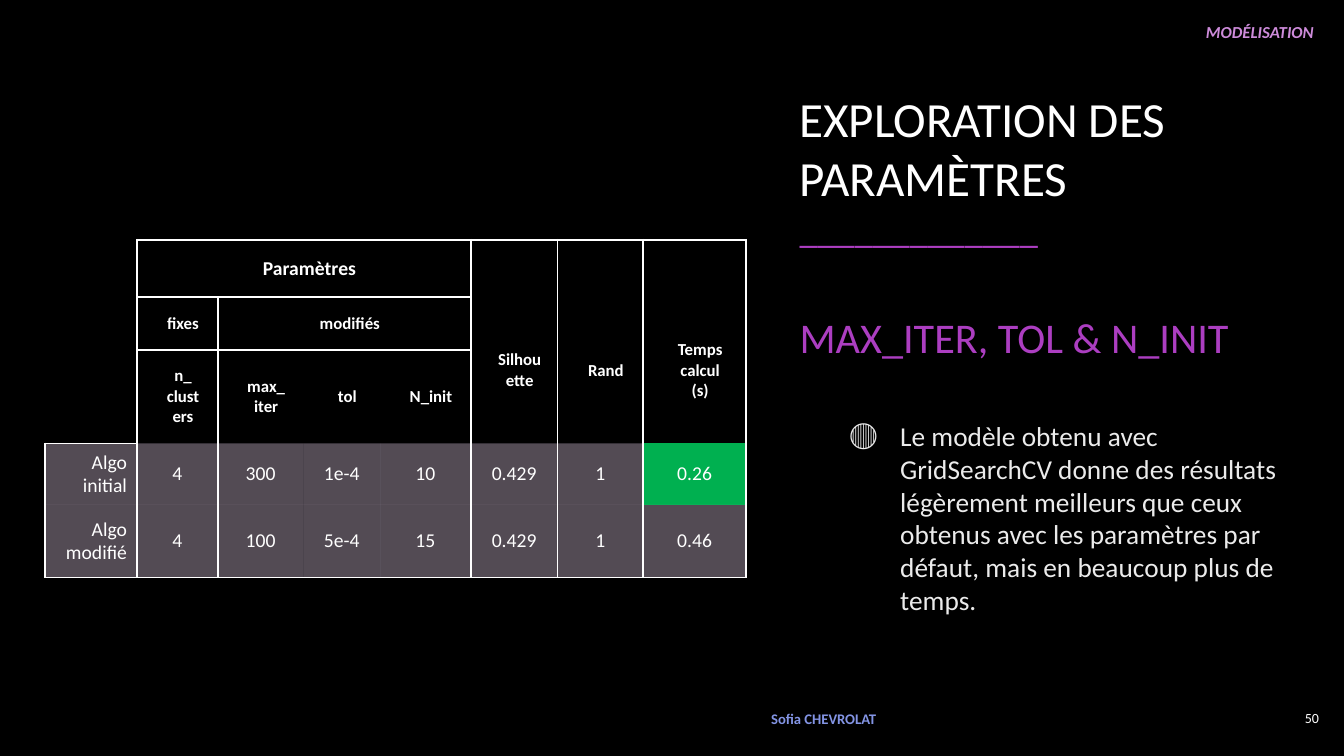
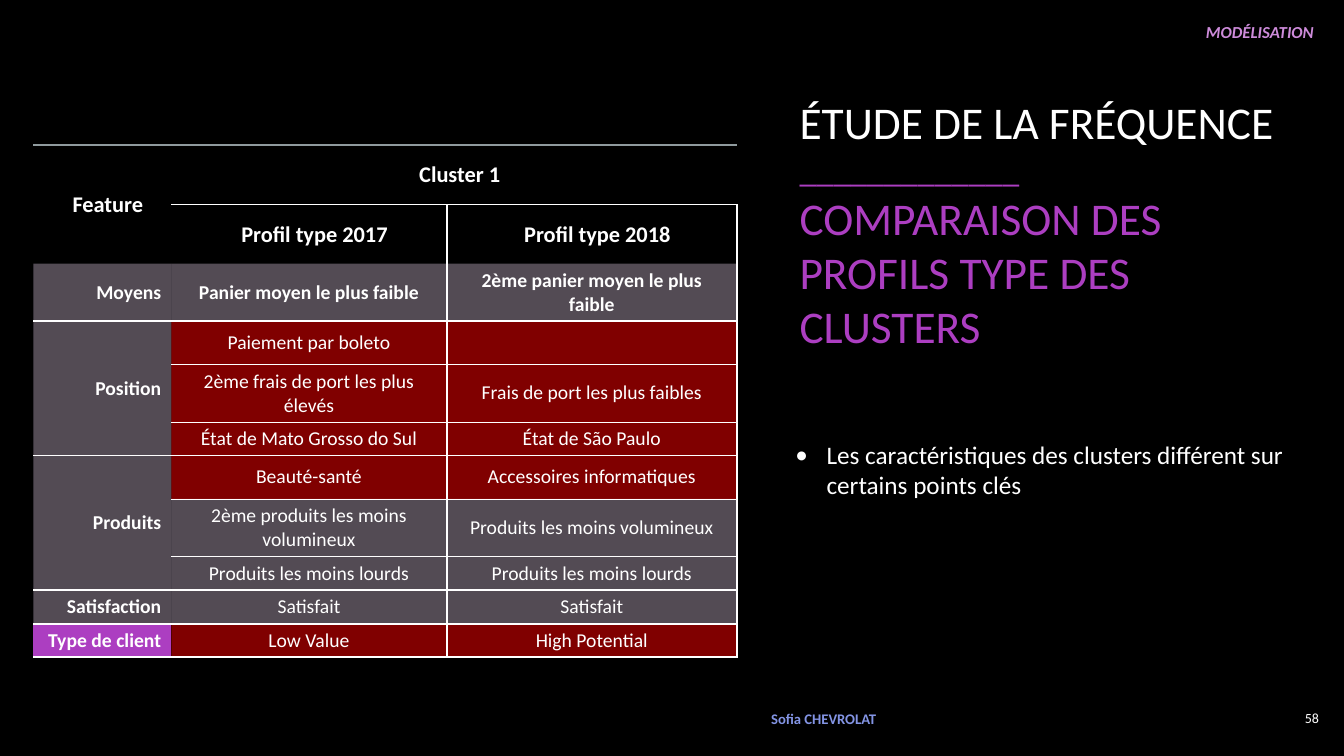
import pptx
import pptx.util
import pptx.dml.color
import pptx.enum.text
import pptx.oxml.ns
from lxml import etree

Inches = pptx.util.Inches
Pt = pptx.util.Pt
RGBColor = pptx.dml.color.RGBColor
ALIGN = pptx.enum.text.PP_ALIGN
ANCHOR = pptx.enum.text.MSO_ANCHOR
qn = pptx.oxml.ns.qn

BLACK = RGBColor(0x00, 0x00, 0x00)
WHITE = RGBColor(0xFF, 0xFF, 0xFF)
SOFT_WHITE = RGBColor(0xEB, 0xEB, 0xEB)
PURPLE = RGBColor(0xAC, 0x3E, 0xC1)
LILAC = RGBColor(0xCD, 0x8B, 0xDA)
PALE_LILAC = RGBColor(0xEE, 0xD8, 0xF3)
BLUE = RGBColor(0x83, 0x94, 0xE4)
GREEN = RGBColor(0x00, 0xB0, 0x50)
RED = RGBColor(0xFF, 0x00, 0x00)
GREY = RGBColor(0x8F, 0x9A, 0x9D)

# Fills are (colour, opacity %), table lines are (points, colour, opacity %)
MUTED = (PALE_LILAC, 35)
DIFFERENT = (RED, 50)
THICK = (1.5, WHITE, 100)
THIN = (0.25, WHITE, 100)
FAINT = (1.5, GREY, 60)
FONT = "Calibri"
NO_STYLE = "{2D5ABB26-0587-4C30-8999-92F81FD0307C}"
UNDERLINE = "_____________"


def write(paragraph, text, size, colour=WHITE, align=ALIGN.LEFT, **styles):
    paragraph.alignment = align
    run = paragraph.add_run()
    run.text = text
    run.font.color.rgb = colour
    for key, value in {"name": FONT, "size": Pt(size), **styles}.items():
        setattr(run.font, key, value)


def add_text(slide, box, anchor):
    frame = slide.shapes.add_textbox(*map(Inches, box)).text_frame
    frame.word_wrap = True
    frame.vertical_anchor = anchor
    return frame.paragraphs[0]


# Content. Lines are (boundary, first, end, style): horizontal ones lie above
# the row "boundary", vertical ones to the left of the column "boundary".
pages = [
    {
        "number": "50",
        "title_box": (7.83, 0.9, 5.31, 2.67),
        "title": [("EXPLORATION DES PARAMÈTRES", 35.1, WHITE, 0),
                  (UNDERLINE, 26.3, PURPLE, 0),
                  ("MAX_ITER, TOL & N_INIT", 30.2, PURPLE, 43)],
        "bullet_box": (7.83, 3.75, 5.05, 2.77),
        "bullet": ("Le modèle obtenu avec GridSearchCV donne des résultats "
                   "légèrement meilleurs que ceux obtenus avec les paramètres "
                   "par défaut, mais en beaucoup plus de temps."),
        "bullet_style": (19.5, SOFT_WHITE, "🔴", 1, 0.5, ANCHOR.MIDDLE),
        "table_at": (0.45, 2.38),
        "columns": [0.91, 0.8, 0.85, 0.76, 0.9, 0.86, 0.85, 1.02],
        "rows": [0.57, 0.52, 0.93, 0.61, 0.72],
        "header_sizes": [14, 12, 12],
        "cells": [
            ["", "Paramètres", "", "", "", "", "", ""],
            ["", "fixes", "modifiés", "", "", "Silhouette", "Rand",
             "Temps calcul (s)"],
            ["", "n_\nclusters", "max_\niter", "tol", "N_init", "", "", ""],
            ["Algo initial", "4", "300", "1e-4", "10", "0.429", "1", "0.26"],
            ["Algo modifié", "4", "100", "5e-4", "15", "0.429", "1", "0.46"],
        ],
        "merges": [(0, 1, 0, 4), (1, 2, 1, 4),
                   (1, 5, 2, 5), (1, 6, 2, 6), (1, 7, 2, 7)],
        "fills": {(3, 7): (GREEN, 100)},
        "bold": set(),
        "horizontal": [(0, 1, 8, THICK), (1, 1, 5, THICK), (2, 1, 5, THICK),
                       (3, 0, 1, THICK), (5, 0, 8, THICK)],
        "vertical": [(0, 3, 5, THICK), (2, 1, 5, THICK)]
                    + [(column, 0, 5, THICK) for column in (1, 5, 6, 7, 8)],
    },
    {
        "number": "58",
        "title_box": (7.83, 0.69, 5.05, 3.06),
        "title": [("ÉTUDE DE LA FRÉQUENCE", 32.4, WHITE, 0),
                  (UNDERLINE, 24.3, PURPLE, 0),
                  ("COMPARAISON DES PROFILS TYPE DES CLUSTERS", 32.4, PURPLE, 0)],
        "bullet_box": (7.79, 4.31, 5.23, 1.01),
        "bullet": ("Les caractéristiques des clusters différent sur certains "
                   "points clés"),
        "bullet_style": (18, WHITE, "•", 0.31, 0.31, ANCHOR.TOP),
        "table_at": (0.33, 1.44),
        "columns": [1.37, 2.73, 2.88],
        "rows": [0.59, 0.58, 0.57, 0.43, 0.57, 0.33, 0.43, 0.57, 0.33, 0.33, 0.33],
        "header_sizes": [16, 16],
        "cells": [
            ["Feature", "Cluster 1", ""],
            ["", "Profil type 2017", "Profil type 2018"],
            ["Moyens", "Panier moyen le plus faible",
             "2ème panier moyen le plus faible"],
            ["Position", "Paiement par boleto", ""],
            ["", "2ème frais de port les plus élevés",
             "Frais de port les plus faibles"],
            ["", "État de Mato Grosso do Sul", "État de São Paulo"],
            ["Produits", "Beauté-santé", "Accessoires informatiques"],
            ["", "2ème produits les moins volumineux",
             "Produits les moins volumineux"],
            ["", "Produits les moins lourds", "Produits les moins lourds"],
            ["Satisfaction", "Satisfait", "Satisfait"],
            ["Type de client", "Low Value", "High Potential"],
        ],
        "merges": [(0, 0, 1, 0), (0, 1, 0, 2), (3, 0, 5, 0), (6, 0, 8, 0)],
        "fills": {(10, 0): (PURPLE, 100),
                  **{(row, column): DIFFERENT
                     for row in (3, 4, 5, 6, 10) for column in (1, 2)}},
        "bold": {(2, 1), (2, 2)} | {(row, 0) for row in range(2, 11)},
        "horizontal": [(0, 0, 3, FAINT)]
                      + [(row, 1, 3, THIN) for row in (1, 4, 5, 7, 8)]
                      + [(row, 0, 3, THICK) for row in (3, 6, 9, 10, 11)],
        "vertical": [(2, 1, 11, THICK), (3, 1, 11, THICK)],
    },
]

prs = pptx.Presentation()
prs.slide_width = Inches(13.33)
prs.slide_height = Inches(7.5)
background = prs.slide_master.background.fill
background.solid()
background.fore_color.rgb = BLACK

for page in pages:
    slide = prs.slides.add_slide(prs.slide_layouts[5])

    # Section label, author and page number
    write(add_text(slide, (7.67, 0.17, 5.46, 0.3), ANCHOR.TOP), "MODÉLISATION",
          12, LILAC, ALIGN.RIGHT, bold=True, italic=True)
    write(add_text(slide, (7.55, 6.92, 1.76, 0.41), ANCHOR.MIDDLE),
          "Sofia CHEVROLAT", 10.5, BLUE, bold=True)
    write(add_text(slide, (12.58, 6.92, 0.6, 0.41), ANCHOR.MIDDLE),
          page["number"], 10, align=ALIGN.RIGHT)

    # Title
    title = slide.shapes.title
    title.left, title.top, title.width, title.height = map(Inches, page["title_box"])
    heading = title.text_frame
    heading.word_wrap = True
    heading.auto_size = pptx.enum.text.MSO_AUTO_SIZE.NONE
    heading.vertical_anchor = ANCHOR.MIDDLE
    for index, (text, size, colour, gap) in enumerate(page["title"]):
        line = heading.add_paragraph() if index else heading.paragraphs[0]
        if gap:
            line.space_before = Pt(gap)
        write(line, text, size, colour)

    # Bulleted remark; a text font for the mark lets it fall back to symbols
    size, colour, mark, indent, hanging, anchor = page["bullet_style"]
    remark = add_text(slide, page["bullet_box"], anchor)
    properties = remark._p.get_or_add_pPr()
    properties.set("marL", str(Inches(indent)))
    properties.set("indent", str(-Inches(hanging)))
    etree.SubElement(properties, qn("a:buFont")).set("typeface", FONT)
    etree.SubElement(properties, qn("a:buChar")).set("char", mark)
    write(remark, page["bullet"], size, colour)

    # Table grid
    columns, rows = page["columns"], page["rows"]
    extent = (*page["table_at"], sum(columns), sum(rows))
    table = slide.shapes.add_table(len(rows), len(columns),
                                   *map(Inches, extent)).table
    table.first_row = table.horz_banding = False
    table._tbl.tblPr.find(qn("a:tableStyleId")).text = NO_STYLE
    for column, width in zip(table.columns, columns):
        column.width = Inches(width)
    for row, height in zip(table.rows, rows):
        row.height = Inches(height)
    for top, left, bottom, right in page["merges"]:
        table.cell(top, left).merge(table.cell(bottom, right))

    # Each line belongs to the cells on both of its sides
    edges = {}
    for boundary, first, end, style in page["horizontal"]:
        for column in range(first, end):
            edges[boundary - 1, column, "B"] = style
            edges[boundary, column, "T"] = style
    for boundary, first, end, style in page["vertical"]:
        for row in range(first, end):
            edges[row, boundary - 1, "R"] = style
            edges[row, boundary, "L"] = style
    # A merged cell also carries the far edges of its span
    for top, left, bottom, right in page["merges"]:
        for side in "RB":
            if (bottom, right, side) in edges:
                edges[top, left, side] = edges[bottom, right, side]

    # Table cells
    header_sizes = page["header_sizes"]
    for r, texts in enumerate(page["cells"]):
        is_header = r < len(header_sizes)
        size = header_sizes[r] if is_header else 14
        for c, text in enumerate(texts):
            cell = table.cell(r, c)
            cell.vertical_anchor = ANCHOR.MIDDLE
            cell_properties = cell._tc.get_or_add_tcPr()
            for side in "LRTB":
                line = etree.SubElement(cell_properties, qn("a:ln" + side))
                if (r, c, side) not in edges:
                    etree.SubElement(line, qn("a:noFill"))
                    continue
                points, colour, opacity = edges[r, c, side]
                line.set("w", str(Pt(points)))
                ink = etree.SubElement(etree.SubElement(line, qn("a:solidFill")),
                                       qn("a:srgbClr"))
                ink.set("val", str(colour))
                etree.SubElement(ink, qn("a:alpha")).set("val", str(opacity * 1000))
            if is_header:
                cell.fill.background()
                cell.margin_left = Inches(0.27)
                cell.margin_right = cell.margin_top = cell.margin_bottom = Inches(0.16)
            else:
                colour, opacity = page["fills"].get((r, c), MUTED)
                cell.fill.solid()
                cell.fill.fore_color.rgb = colour
                tint = cell_properties.find(qn("a:solidFill")).find(qn("a:srgbClr"))
                etree.SubElement(tint, qn("a:alpha")).set("val", str(opacity * 1000))
            if not text:
                # An empty cell must not stretch its row
                blank = cell.text_frame.paragraphs[0]._p
                etree.SubElement(blank, qn("a:endParaRPr")).set("sz", str(size * 100))
                continue
            cell.text = text
            for paragraph in cell.text_frame.paragraphs:
                words = paragraph.text
                paragraph.clear()
                write(paragraph, words, size,
                      align=ALIGN.RIGHT if c == 0 and not is_header else ALIGN.CENTER,
                      bold=is_header or (r, c) in page["bold"])

prs.save("out.pptx")
